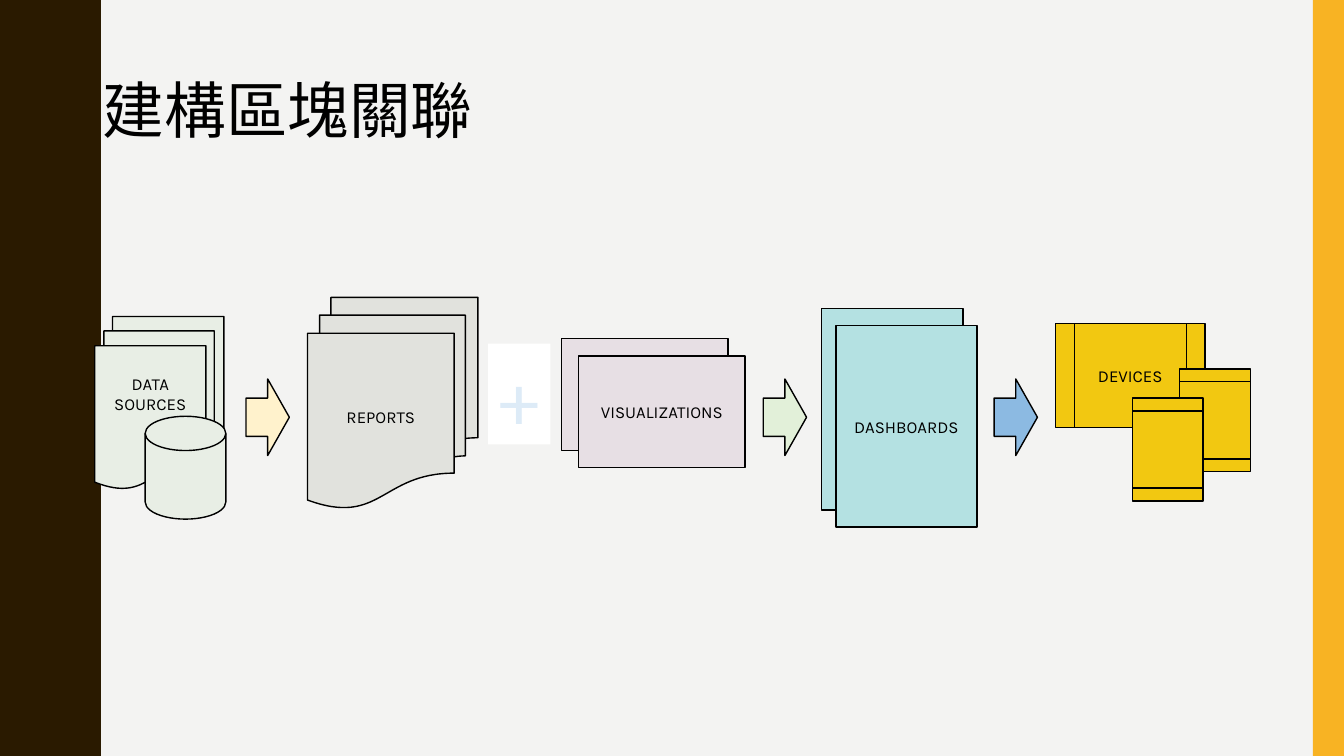
from pptx import Presentation
from pptx.dml.color import RGBColor
from pptx.enum.shapes import MSO_SHAPE
from pptx.enum.text import MSO_ANCHOR, MSO_AUTO_SIZE, PP_ALIGN
from pptx.util import Inches, Pt

RECT = MSO_SHAPE.RECTANGLE
ARROW = MSO_SHAPE.RIGHT_ARROW
DOCS = MSO_SHAPE.FLOWCHART_MULTIDOCUMENT
DISK = MSO_SHAPE.FLOWCHART_MAGNETIC_DISK
SCREEN = MSO_SHAPE.FLOWCHART_PREDEFINED_PROCESS
LEFT, CENTER = PP_ALIGN.LEFT, PP_ALIGN.CENTER
TOP, MIDDLE = MSO_ANCHOR.TOP, MSO_ANCHOR.MIDDLE
WIDE, HIGH = 13.33, 7.5
BLACK = "000000"
# First half of one wave, as (x, y); the second half mirrors it
WAVE = [(0.78, 0), (0.78, 0.07), (0.79, 0.14), (0.8, 0.2), (0.81, 0.25),
        (0.83, 0.29), (0.85, 0.33), (0.87, 0.38), (0.89, 0.42), (0.91, 0.46),
        (0.93, 0.5), (0.95, 0.55), (0.96, 0.61), (0.97, 0.68), (0.97, 0.75)]
PERIOD = 1.5


def color(code):
    return RGBColor.from_string(code)


def write(shape, text, size=12, ink=BLACK, align=CENTER, anchor=MIDDLE,
          wrap=True, gap=None, foot=0.05):
    frame = shape.text_frame
    frame.word_wrap = wrap
    frame.vertical_anchor = anchor
    frame.margin_bottom = Inches(foot)
    para = frame.paragraphs[0]
    para.alignment = align
    if gap:
        para.line_spacing = gap
    run = para.add_run()
    run.text = text
    run.font.size = Pt(size)
    run.font.name = "Karla"
    run.font.color.rgb = color(ink)


def paint(shape, fill, line=BLACK):
    shape.shadow.inherit = False
    shape.fill.solid()
    shape.fill.fore_color.rgb = color(fill)
    if line:
        shape.line.color.rgb = color(line)
        shape.line.width = Pt(1)
    else:
        shape.line.fill.background()


def draw(slide, kind, box, fill, line=BLACK):
    shape = slide.shapes.add_shape(kind, *map(Inches, box))
    paint(shape, fill, line)
    return shape


def frame(slide):
    """Fill the background and draw the wavy left and plain right edges."""
    back = slide.background.fill
    back.solid()
    back.fore_color.rgb = color("F3F3F2")
    wave = WAVE + [(x, PERIOD - y) for x, y in WAVE[-2::-1]]
    edge = [(x, y + i * PERIOD) for i in range(round(HIGH / PERIOD))
            for x, y in wave]
    pen = slide.shapes.build_freeform(0, 0, scale=Inches(1))
    pen.add_line_segments(edge + [(0, HIGH)], close=True)
    paint(pen.convert_to_shape(), "2A1A00", None)
    draw(slide, RECT, (WIDE - 0.31, 0, 0.31, HIGH), "F8B323", None)


def title(slide, text, box):
    head = slide.shapes.title
    head.left, head.top, head.width, head.height = map(Inches, box)
    write(head, text, size=44, align=LEFT, gap=0.9)


def source(slide, left, top, wide, high):
    fill = "E8EEE5"
    docs = draw(slide, DOCS, (left, top, wide, high * 0.85), fill)
    write(docs, "DATA SOURCES", foot=0.45)
    draw(slide, DISK, (left + 0.5, top + 0.99, 0.8, 1.02), fill)


def report(slide, *box):
    write(draw(slide, DOCS, box, "E1E2DD"), "REPORTS")


def stack(slide, text, fill, left, top, wide, high, dx, dy):
    """Two offset sheets, the front one labelled."""
    for i in range(2):
        sheet = draw(slide, RECT, (left + i * dx, top + i * dy, wide, high),
                     fill)
    write(sheet, text)


def device(slide, left, top, wide, high):
    fill = "F2C811"
    write(draw(slide, SCREEN, (left, top, wide, high), fill), "DEVICES")
    for dx, dy in ((1.07, 0.61), (0.6, 0.9)):
        phone = draw(slide, SCREEN, (left + dx, top + dy, 1.02, 0.7), fill)
        phone.rotation = 90


def plus(slide, *box):
    sign = draw(slide, RECT, box, "FFFFFF", None)
    write(sign, "+", size=54, ink="DDEBF7", anchor=TOP, wrap=False)
    sign.text_frame.auto_size = MSO_AUTO_SIZE.SHAPE_TO_FIT_TEXT


def main():
    deck = Presentation()
    deck.slide_width, deck.slide_height = Inches(WIDE), Inches(HIGH)
    slide = deck.slides.add_slide(deck.slide_layouts[5])
    frame(slide)
    title(slide, "建構區塊關聯", (0.92, 0.4, 11.5, 1.45))
    source(slide, 0.94, 3.14, 1.28, 2.01)
    report(slide, 3.05, 2.95, 1.69, 2.09)
    stack(slide, "VISUALIZATIONS", "E7DFE4", 5.57, 3.36, 1.65, 1.11, 0.17, 0.17)
    device(slide, 10.47, 3.21, 1.48, 1.03)
    stack(slide, "DASHBOARDS", "B4E1E2", 8.15, 3.06, 1.4, 2, 0.14, 0.17)
    for left, fill in ((9.86, "8CBAE2"), (2.44, "FFF2CC"), (7.57, "E2F0D9")):
        draw(slide, ARROW, (left, 3.76, 0.43, 0.76), fill)
    plus(slide, 4.84, 3.41, 0.62, 1)
    deck.save("out.pptx")


if __name__ == "__main__":
    main()
